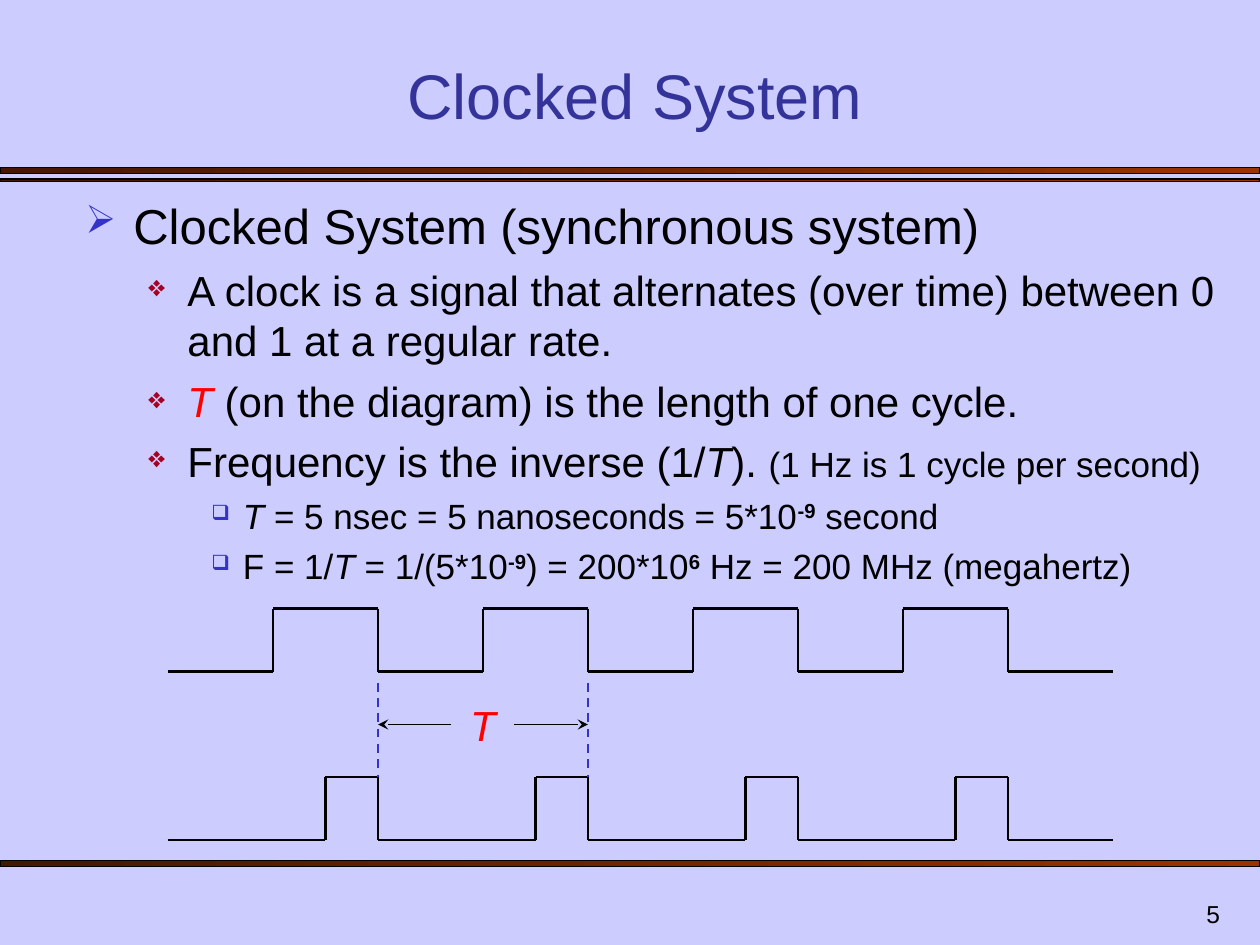
from itertools import pairwise

from lxml.etree import SubElement
from pptx import Presentation
from pptx.dml.color import RGBColor
from pptx.enum.dml import MSO_LINE
from pptx.enum.shapes import MSO_CONNECTOR, MSO_SHAPE
from pptx.enum.text import MSO_ANCHOR, MSO_AUTO_SIZE, PP_ALIGN
from pptx.oxml.ns import qn
from pptx.util import Inches, Pt

LAVENDER = RGBColor(0xCC, 0xCC, 0xFF)
NAVY = RGBColor(0x33, 0x33, 0x99)
BLUE = RGBColor(0x33, 0x33, 0xCC)
CRIMSON = RGBColor(0xA5, 0x00, 0x21)
RED = RGBColor(0xFF, 0x00, 0x00)
BLACK = RGBColor(0x00, 0x00, 0x00)
RUST = RGBColor(0x99, 0x33, 0x00)
BROWN = RGBColor(0x46, 0x17, 0x00)

ITALIC = {"italic": True}
POWER = {"bold": True, "baseline": 30000}

LEVELS = [
    {"size": 28, "bullet": "➢", "bullet_color": BLUE, "bullet_size": 80, "margin": 0.38, "hang": 0.38},
    {"size": 24, "bullet": "❖", "bullet_color": CRIMSON, "bullet_size": 70, "margin": 0.81, "hang": 0.31},
    {"size": 20, "bullet": "❑", "bullet_color": BLUE, "bullet_size": 60, "margin": 1.25, "hang": 0.25},
]

OUTLINE = [
    (0, 7, [("Clocked System (synchronous system)", {})]),
    (1, 6, [("A clock is a signal that alternates (over time) between 0 and 1 at a regular rate.", {})]),
    (1, 6, [("T", {"italic": True, "color": RED}), (" (on the diagram) is the length of one cycle.", {})]),
    (1, 5, [("Frequency is the inverse (1/", {}), ("T", ITALIC), ("). ", {}),
            ("(1 Hz is 1 cycle per second)", {"size": 20})]),
    (2, 5, [("T", ITALIC), (" = 5 nsec = 5 nanoseconds = 5*10", {}), ("-9", POWER), (" second", {})]),
    (2, 5, [("F = 1/", {}), ("T", ITALIC), (" = 1/(5*10", {}), ("-9", POWER),
            (") = 200*10", {}), ("6", POWER), (" Hz = 200 MHz (megahertz)", {})]),
]

BARS = [(1.33, 0.05), (1.42, 0.02), (6.83, 0.05)]

CYCLES = 4
PERIOD = 5 / 3
WAVE_LEFT, FIRST_FALL, WAVE_RIGHT = 1.33, 3, 8.83
PULSE_HEIGHT = 0.5
WAVES = [{"low": 5.33, "pulse": PERIOD / 2}, {"low": 6.67, "pulse": PERIOD / 4}]
GUIDE_TOP, GUIDE_BOTTOM = 5.42, 6.17
LABEL_SIZE, LABEL_TOP = 0.5, 5.5


def add_run(paragraph, text, size=24, color=BLACK, bold=False, italic=False, baseline=0):
    run = paragraph.add_run()
    run.text = text
    font = run.font
    font.name, font.size, font.bold, font.italic = "Arial", Pt(size), bold, italic
    font.color.rgb = color
    if baseline:
        run._r.get_or_add_rPr().set("baseline", str(baseline))


def add_frame(slide, left, top, width, height, anchor=MSO_ANCHOR.TOP):
    box = slide.shapes.add_textbox(Inches(left), Inches(top), Inches(width), Inches(height))
    frame = box.text_frame
    frame.word_wrap = True
    frame.vertical_anchor = anchor
    return frame


def add_label(slide, text, place, align, anchor=MSO_ANCHOR.BOTTOM, space_before=0, **style):
    frame = add_frame(slide, *place, anchor=anchor)
    paragraph = frame.paragraphs[0]
    paragraph.alignment = align
    paragraph.space_before = Pt(space_before)
    add_run(paragraph, text, **style)
    return frame


def set_bullet(paragraph, level):
    properties = paragraph._p.get_or_add_pPr()
    properties.set("marL", str(Inches(level["margin"])))
    properties.set("indent", str(-Inches(level["hang"])))
    color = SubElement(properties, qn("a:buClr"))
    SubElement(color, qn("a:srgbClr"), val=str(level["bullet_color"]))
    SubElement(properties, qn("a:buSzPct"), val=str(level["bullet_size"] * 1000))
    SubElement(properties, qn("a:buChar"), char=level["bullet"])


def add_outline(slide):
    frame = add_frame(slide, 0.58, 1.5, 9.17, 4.92)
    for index, (depth, space_before, runs) in enumerate(OUTLINE):
        level = LEVELS[depth]
        paragraph = frame.add_paragraph() if index else frame.paragraphs[0]
        paragraph.level = depth
        paragraph.space_before = Pt(space_before)
        set_bullet(paragraph, level)
        for text, style in runs:
            add_run(paragraph, text, **({"size": level["size"]} | style))


def add_bar(slide, top, height):
    bar = slide.shapes.add_shape(MSO_SHAPE.RECTANGLE, 0, Inches(top), Inches(10), Inches(height))
    bar.shadow.inherit = False
    bar.fill.gradient()
    bar.fill.gradient_angle = 180
    for stop, color in zip(bar.fill.gradient_stops, (RUST, BROWN)):
        stop.color.rgb = color
    bar.line.color.rgb = BLACK
    bar.line.width = Pt(0.75)


def add_line(slide, start, end, color=BLACK, width=1.25, dash=None, arrow=False):
    connector = slide.shapes.add_connector(
        MSO_CONNECTOR.STRAIGHT, *(Inches(value) for value in (*start, *end)))
    line = connector.line
    line.color.rgb = color
    line.width = Pt(width)
    if dash:
        line.dash_style = dash
    if arrow:
        SubElement(line._get_or_add_ln(), qn("a:tailEnd"), type="stealth")
    SubElement(connector._element.spPr, qn("a:effectLst"))


def add_wave(slide, low, pulse):
    high = low - PULSE_HEIGHT
    points = [(WAVE_LEFT, low)]
    for cycle in range(CYCLES):
        fall = FIRST_FALL + cycle * PERIOD
        rise = fall - pulse
        points += [(rise, low), (rise, high), (fall, high), (fall, low)]
    points.append((WAVE_RIGHT, low))
    for start, end in pairwise(points):
        add_line(slide, start, end)


def add_period_mark(slide):
    label_left = FIRST_FALL + (PERIOD - LABEL_SIZE) / 2
    middle = LABEL_TOP + LABEL_SIZE / 2
    edges = (FIRST_FALL, FIRST_FALL + PERIOD)
    for edge, inner in zip(edges, (label_left, label_left + LABEL_SIZE)):
        add_line(slide, (edge, GUIDE_TOP), (edge, GUIDE_BOTTOM), color=BLUE, dash=MSO_LINE.DASH)
        add_line(slide, (inner, middle), (edge, middle), width=0.75, arrow=True)
    frame = add_label(slide, "T", (label_left, LABEL_TOP, LABEL_SIZE, LABEL_SIZE), PP_ALIGN.CENTER,
                      anchor=MSO_ANCHOR.TOP, space_before=15, color=RED, italic=True)
    frame.auto_size = MSO_AUTO_SIZE.SHAPE_TO_FIT_TEXT


def main():
    presentation = Presentation()
    presentation.slide_width = Inches(10)
    presentation.slide_height = Inches(7.5)
    slide = presentation.slides.add_slide(presentation.slide_layouts[6])
    slide.background.fill.solid()
    slide.background.fill.fore_color.rgb = LAVENDER
    for top, height in BARS:
        add_bar(slide, top, height)
    add_label(slide, "Clocked System", (0.58, 0.42, 8.92, 0.68), PP_ALIGN.CENTER, size=36, color=NAVY)
    add_outline(slide)
    for wave in WAVES:
        add_wave(slide, **wave)
    add_period_mark(slide)
    add_label(slide, "5", (7.7, 7, 2.08, 0.42), PP_ALIGN.RIGHT, size=14)
    presentation.save("out.pptx")


if __name__ == "__main__":
    main()
